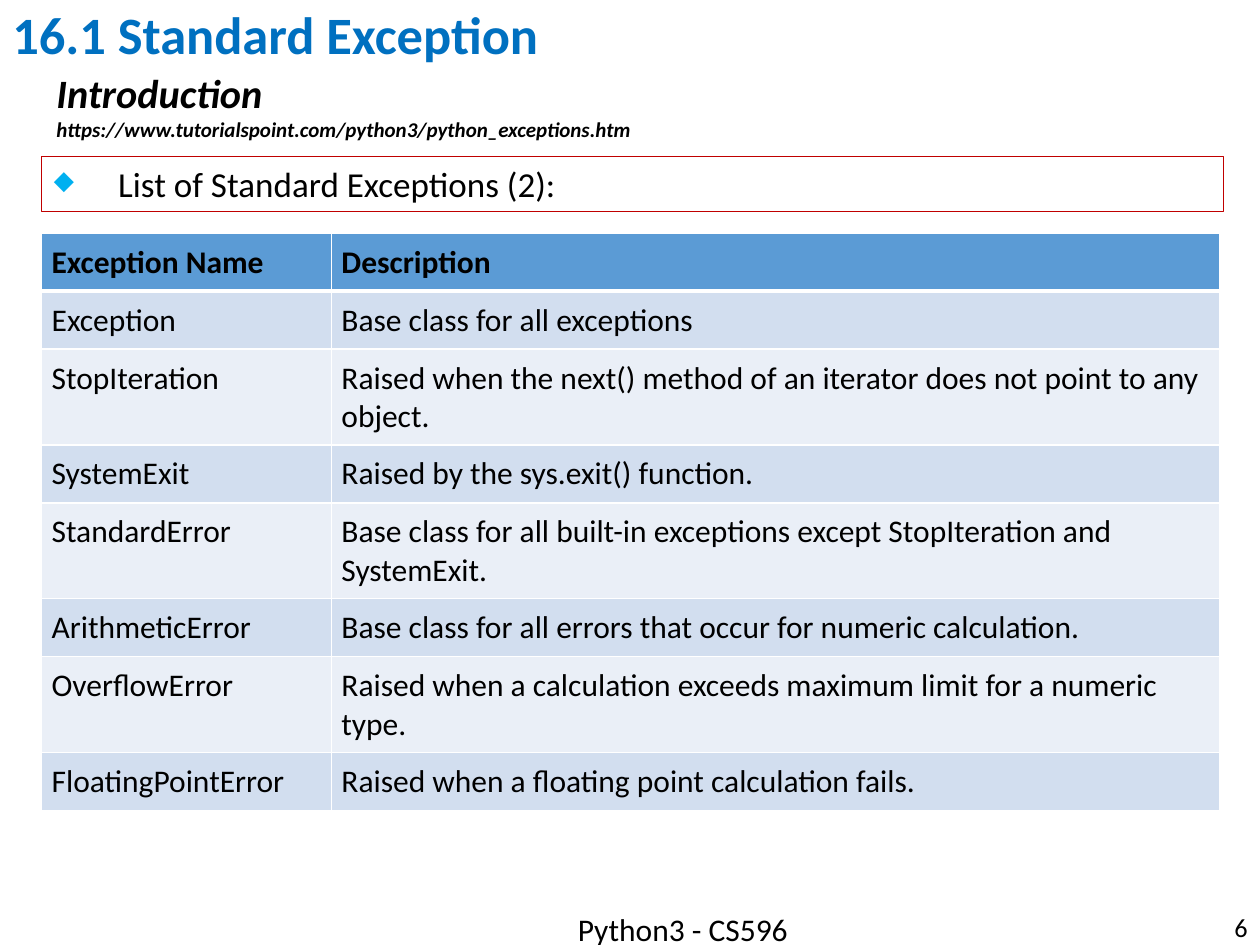
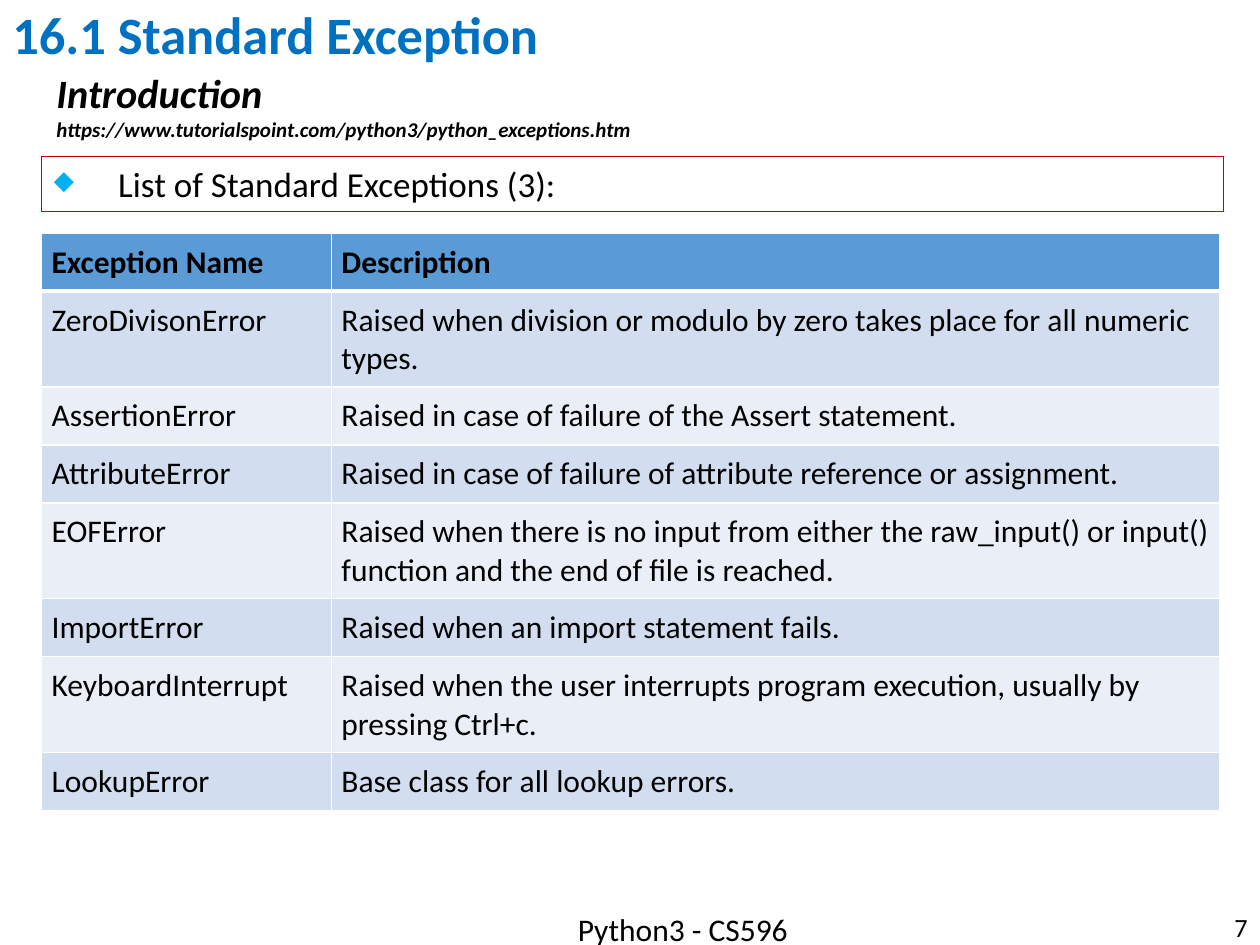
from lxml import etree
from pptx import Presentation
from pptx.dml.color import RGBColor
from pptx.enum.shapes import MSO_SHAPE
from pptx.enum.text import MSO_ANCHOR as Anchor, MSO_AUTO_SIZE as AutoSize, PP_ALIGN as Align
from pptx.oxml import parse_xml
from pptx.oxml.ns import nsdecls
from pptx.util import Inches, Pt

FONT = "Calibri"
BLACK = RGBColor(0x00, 0x00, 0x00)
WHITE = RGBColor(0xFF, 0xFF, 0xFF)
TITLE_BLUE = RGBColor(0x00, 0x70, 0xC0)
BULLET_BLUE = RGBColor(0x00, 0xB0, 0xF0)
BOX_LINE = RGBColor(0xC0, 0x00, 0x00)
HEADER_FILL = RGBColor(0x5B, 0x9B, 0xD5)
BAND_FILLS = [RGBColor(0xEA, 0xEF, 0xF7), RGBColor(0xD2, 0xDE, 0xEF)]

TITLE = "16.1 Standard Exception"
SUBTITLE = "Introduction"
SOURCE_LINK = "https://www.tutorialspoint.com/python3/python_exceptions.htm"
FOOTER = "Python3 - CS596"
TABLE_HEADER = ("Exception Name", "Description")
COLUMN_WIDTHS = (2.3, 7.05)
ROW_HEIGHT = 0.41

# Page number, list heading, exceptions
PAGES = [
    (6, "List of Standard Exceptions (2):", [
        ("Exception", "Base class for all exceptions"),
        ("StopIteration", "Raised when the next() method of an iterator does not point to any object."),
        ("SystemExit", "Raised by the sys.exit() function."),
        ("StandardError", "Base class for all built-in exceptions except StopIteration and SystemExit."),
        ("ArithmeticError", "Base class for all errors that occur for numeric calculation."),
        ("OverflowError", "Raised when a calculation exceeds maximum limit for a numeric type."),
        ("FloatingPointError", "Raised when a floating point calculation fails."),
    ]),
    (7, "List of Standard Exceptions (3):", [
        ("ZeroDivisonError", "Raised when division or modulo by zero takes place for all numeric types."),
        ("AssertionError", "Raised in case of failure of the Assert statement."),
        ("AttributeError", "Raised in case of failure of attribute reference or assignment."),
        ("EOFError", "Raised when there is no input from either the raw_input() or input() function "
                     "and the end of file is reached."),
        ("ImportError", "Raised when an import statement fails."),
        ("KeyboardInterrupt", "Raised when the user interrupts program execution, usually by pressing Ctrl+c."),
        ("LookupError", "Base class for all lookup errors."),
    ]),
]


def write(paragraph, text, size, color=BLACK, bold=False, italic=False, align=Align.LEFT):
    paragraph.text = text
    paragraph.alignment = align
    font = paragraph.font
    font.name, font.size, font.bold, font.italic = FONT, Pt(size), bold, italic
    font.color.rgb = color


def add_text_frame(slide, left, top, width, height, anchor=Anchor.TOP, auto_size=AutoSize.NONE):
    """Add a wrapping text box and return its text frame."""
    box = slide.shapes.add_textbox(Inches(left), Inches(top), Inches(width), Inches(height))
    frame = box.text_frame
    frame.word_wrap = True
    frame.vertical_anchor = anchor
    frame.auto_size = auto_size
    return frame


presentation = Presentation()
presentation.slide_width = Inches(10)
presentation.slide_height = Inches(7.5)
blank_layout = presentation.slide_layouts[6]

for page_number, list_heading, exceptions in PAGES:
    slide = presentation.slides.add_slide(blank_layout)

    number_frame = add_text_frame(slide, 7.75, 7.16, 2.25, 0.4, Anchor.MIDDLE)
    write(number_frame.paragraphs[0], str(page_number), 15, align=Align.RIGHT)

    title_frame = add_text_frame(slide, 0, -0.03, 10, 0.66, Anchor.MIDDLE)
    write(title_frame.paragraphs[0], TITLE, 30, TITLE_BLUE, bold=True)
    title_frame.paragraphs[0].line_spacing = 0.9

    intro_frame = add_text_frame(slide, 0.35, 0.49, 6.37, 0.69, auto_size=AutoSize.SHAPE_TO_FIT_TEXT)
    write(intro_frame.paragraphs[0], SUBTITLE, 23, bold=True, italic=True)
    write(intro_frame.add_paragraph(), SOURCE_LINK, 12, bold=True, italic=True)

    footer_frame = add_text_frame(slide, 3.08, 7.17, 4.68, 0.4, auto_size=AutoSize.SHAPE_TO_FIT_TEXT)
    write(footer_frame.paragraphs[0], FOOTER, 18, align=Align.CENTER)

    heading_box = slide.shapes.add_shape(
        MSO_SHAPE.RECTANGLE, Inches(0.33), Inches(1.24), Inches(9.38), Inches(0.44))
    heading_box.shadow.inherit = False
    heading_box.fill.background()
    heading_box.line.color.rgb = BOX_LINE
    heading_box.line.width = Pt(0.75)
    heading_frame = heading_box.text_frame
    heading_frame.word_wrap = True
    heading_frame.vertical_anchor = Anchor.TOP
    heading_frame.auto_size = AutoSize.SHAPE_TO_FIT_TEXT
    heading = heading_frame.paragraphs[0]
    properties = heading._p.get_or_add_pPr()
    properties.set("marL", str(Inches(0.51)))
    properties.set("indent", str(Inches(-0.51)))
    for bullet_part in (
        f'<a:buClr {nsdecls("a")}><a:srgbClr val="{BULLET_BLUE}"/></a:buClr>',
        f'<a:buSzPct {nsdecls("a")} val="75000"/>',
        f'<a:buChar {nsdecls("a")} char="◆"/>',
    ):
        properties.append(parse_xml(bullet_part))
    write(heading, list_heading, 20)

    rows = [TABLE_HEADER] + exceptions
    table = slide.shapes.add_table(
        len(rows), len(COLUMN_WIDTHS), Inches(0.33), Inches(1.85),
        Inches(sum(COLUMN_WIDTHS)), Inches(ROW_HEIGHT * len(rows))).table
    for column, width in zip(table.columns, COLUMN_WIDTHS):
        column.width = Inches(width)
    for row_index, row in enumerate(rows):
        table.rows[row_index].height = Inches(ROW_HEIGHT)
        is_header = row_index == 0
        border_widths = {"lnL": 1, "lnR": 1, "lnT": 3 if row_index == 1 else 1, "lnB": 3 if is_header else 1}
        for column_index, text in enumerate(row):
            cell = table.cell(row_index, column_index)
            cell.margin_left = cell.margin_right = cell.margin_top = cell.margin_bottom = Inches(0.08)
            write(cell.text_frame.paragraphs[0], text, 18, bold=is_header)
            cell_properties = cell._tc.get_or_add_tcPr()
            for side, width in border_widths.items():
                cell_properties.append(parse_xml(
                    f'<a:{side} {nsdecls("a")} w="{Pt(width)}"><a:solidFill>'
                    f'<a:srgbClr val="{WHITE}"/></a:solidFill></a:{side}>'))
            cell.fill.solid()
            cell.fill.fore_color.rgb = HEADER_FILL if is_header else BAND_FILLS[row_index % 2]

presentation.save("out.pptx")
